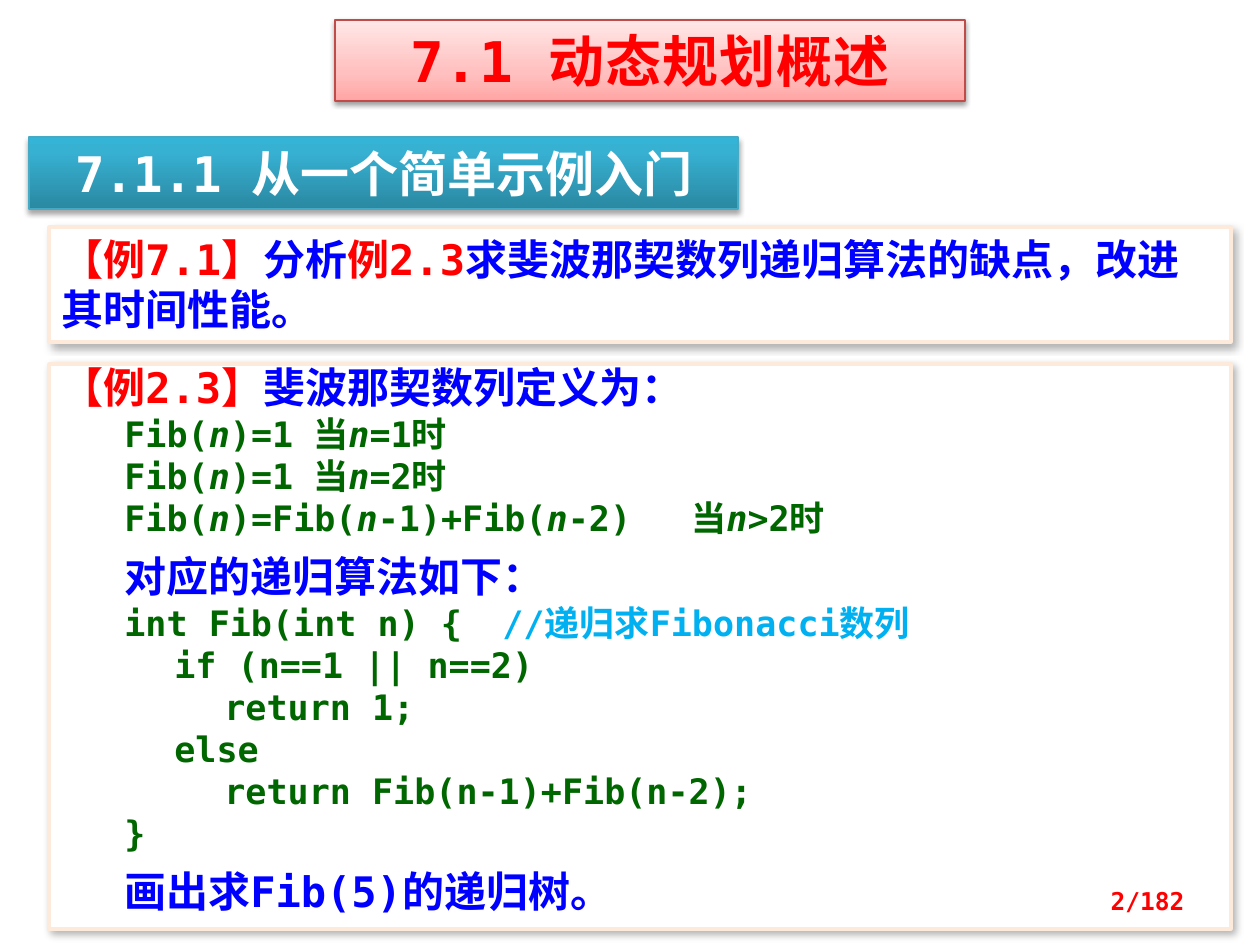
from lxml import etree
from pptx import Presentation
from pptx.dml.color import RGBColor
from pptx.enum.shapes import MSO_SHAPE
from pptx.enum.text import MSO_ANCHOR, PP_ALIGN
from pptx.oxml.ns import qn
from pptx.util import Emu, Pt

RECT = MSO_SHAPE.RECTANGLE
TOP, MIDDLE = MSO_ANCHOR.TOP, MSO_ANCHOR.MIDDLE
LEFT, CENTER, RIGHT = PP_ALIGN.LEFT, PP_ALIGN.CENTER, PP_ALIGN.RIGHT

FONT = "DejaVu Sans Mono"
RED, BLUE, GREEN, SKY, WHITE = "FF0000", "0000FF", "006600", "00B0F0", "FFFFFF"
INDENT, STEP = 63, 50  # first-line indent and one code level, px


def px(n):
    return Emu(round(n * 914400 / 126))


def rgb(code):
    return RGBColor.from_string(code)


def run(text, color, size, italic=False):
    return text, color, size, italic


def math(text):
    """Green formula runs with each variable n in italics."""
    parts = text.replace("n", "|n|").split("|")
    return [run(part, GREEN, 20, part == "n") for part in parts]


# Content: each paragraph is (runs, indent, tab stop, space before)
TITLE = [([run("7.1 动态规划概述", RED, 32)], 0, 0, 0)]
SECTION = [([run("7.1.1 从一个简单示例入门", WHITE, 28)], 0, 0, 0)]
TASK = [([run("【例7.1】", RED, 24), run("分析", BLUE, 24), run("例2.3", RED, 24),
          run("求斐波那契数列递归算法的缺点，改进其时间性能。", BLUE, 24)], 0, 0, 0)]
PAGE = [([run("2/182", RED, 14)], 0, 0, 0)]

CASES = [("Fib(n)=1\t当n=1时", 609), ("Fib(n)=1\t当n=2时", 609),
         ("Fib(n)=Fib(n-1)+Fib(n-2)\t当n>2时", 658)]
CODE = [(1, "if (n==1 || n==2)"), (2, "return 1;"), (1, "else"),
        (2, "return Fib(n-1)+Fib(n-2);"), (0, "}")]

BODY = [([run("【例2.3】", RED, 24), run("斐波那契数列定义为：", BLUE, 24)], 0, 0, 0)]
BODY += [(math(text), INDENT, tab, 0) for text, tab in CASES]
BODY += [([run("对应的递归算法如下：", BLUE, 24)], INDENT, 0, 12),
         ([run("int Fib(int n) {\t", GREEN, 20),
           run("//递归求Fibonacci数列", SKY, 20)], INDENT, 559, 0)]
BODY += [([run(text, GREEN, 20)], INDENT + STEP * level, 0, 0) for level, text in CODE]
BODY += [([run("画出求Fib(5)的递归树。", BLUE, 24)], INDENT, 0, 12)]

# Looks: fill stops, line colour, line width, shadow (alpha, blur, distance, angle)
PINK = ([(0, "FFA6A5"), (35, "FFC0BF"), (100, "FFE7E7")], "BF4C48", 0.75, (38, 3.1, 1.6, 90))
TEAL = ([(0, "2A88A2"), (80, "37B1D2"), (100, "34B4D6")], "46AAC5", 0.75, (35, 3.1, 1.8, 90))
CARD = ([(0, WHITE)], "FDEADA", 2, (30, 4.5, 2.6, 53))


def add(parent, tag, **attrs):
    node = etree.SubElement(parent, qn(tag))
    for key, value in attrs.items():
        node.set(key, str(value))
    return node


def place(shape, left, top, width, height):
    shape.left, shape.top = px(left), px(top)
    shape.width, shape.height = px(width), px(height)


def paint(shape, look):
    stops, line, weight, (alpha, blur, dist, angle) = look
    if len(stops) == 1:
        shape.fill.solid()
        shape.fill.fore_color.rgb = rgb(stops[0][1])
    else:
        shape.fill.gradient()
        shape.fill.gradient_angle = 90
        holder = shape._element.spPr.find(".//" + qn("a:gsLst"))
        for old in list(holder):
            holder.remove(old)
        for pos, color in stops:
            add(add(holder, "a:gs", pos=pos * 1000), "a:srgbClr", val=color)
    shape.line.color.rgb = rgb(line)
    shape.line.width = Pt(weight)
    # Soft outer shadow
    props = shape._element.spPr
    glow = add(add(props, "a:effectLst"), "a:outerShdw", blurRad=Pt(blur), dist=Pt(dist),
               dir=angle * 60000, algn="ctr", rotWithShape=0)
    add(add(glow, "a:srgbClr", val="000000"), "a:alpha", val=alpha * 1000)


def write(shape, paras, align=LEFT, anchor=TOP, leading=None, spacing=None):
    frame = shape.text_frame
    frame.word_wrap = True
    frame.vertical_anchor = anchor
    for i, (runs, indent, tab, before) in enumerate(paras):
        para = frame.paragraphs[0] if i == 0 else frame.add_paragraph()
        para.alignment = align
        props = para._p.get_or_add_pPr()
        props.set("marL", "0")
        props.set("indent", str(px(indent)))
        if tab:
            add(add(props, "a:tabLst"), "a:tab", pos=px(tab), algn="l")
        if leading:
            para.line_spacing = Pt(leading)
        para.space_before = Pt(before)
        for text, color, size, italic in runs:
            piece = para.add_run()
            piece.text = text
            font = piece.font
            font.name, font.size, font.bold = FONT, Pt(size), True
            font.italic = italic
            font.color.rgb = rgb(color)
            if spacing:
                piece._r.get_or_add_rPr().set("spc", str(spacing))


def main():
    deck = Presentation()
    deck.slide_width, deck.slide_height = px(1260), px(945)
    slide = deck.slides.add_slide(deck.slide_layouts[5])
    shapes = slide.shapes

    # Chapter title
    title = shapes.title
    place(title, 335, 20, 630, 81)
    paint(title, PINK)
    write(title, TITLE, CENTER, MIDDLE, spacing=50)

    # Section banner and the two cards
    boxes = [((29, 137, 709, 72), TEAL, SECTION, CENTER, MIDDLE, None),
             ((49, 227, 1182, 115), CARD, TASK, LEFT, TOP, None),
             ((49, 364, 1182, 565), CARD, BODY, LEFT, TOP, 24)]
    for spot, look, paras, align, anchor, leading in boxes:
        box = shapes.add_shape(RECT, *map(px, spot))
        paint(box, look)
        write(box, paras, align, anchor, leading)

    # Page number
    page = shapes.add_textbox(*map(px, (903, 876, 294, 50)))
    write(page, PAGE, RIGHT, MIDDLE)

    deck.save("out.pptx")


if __name__ == "__main__":
    main()
